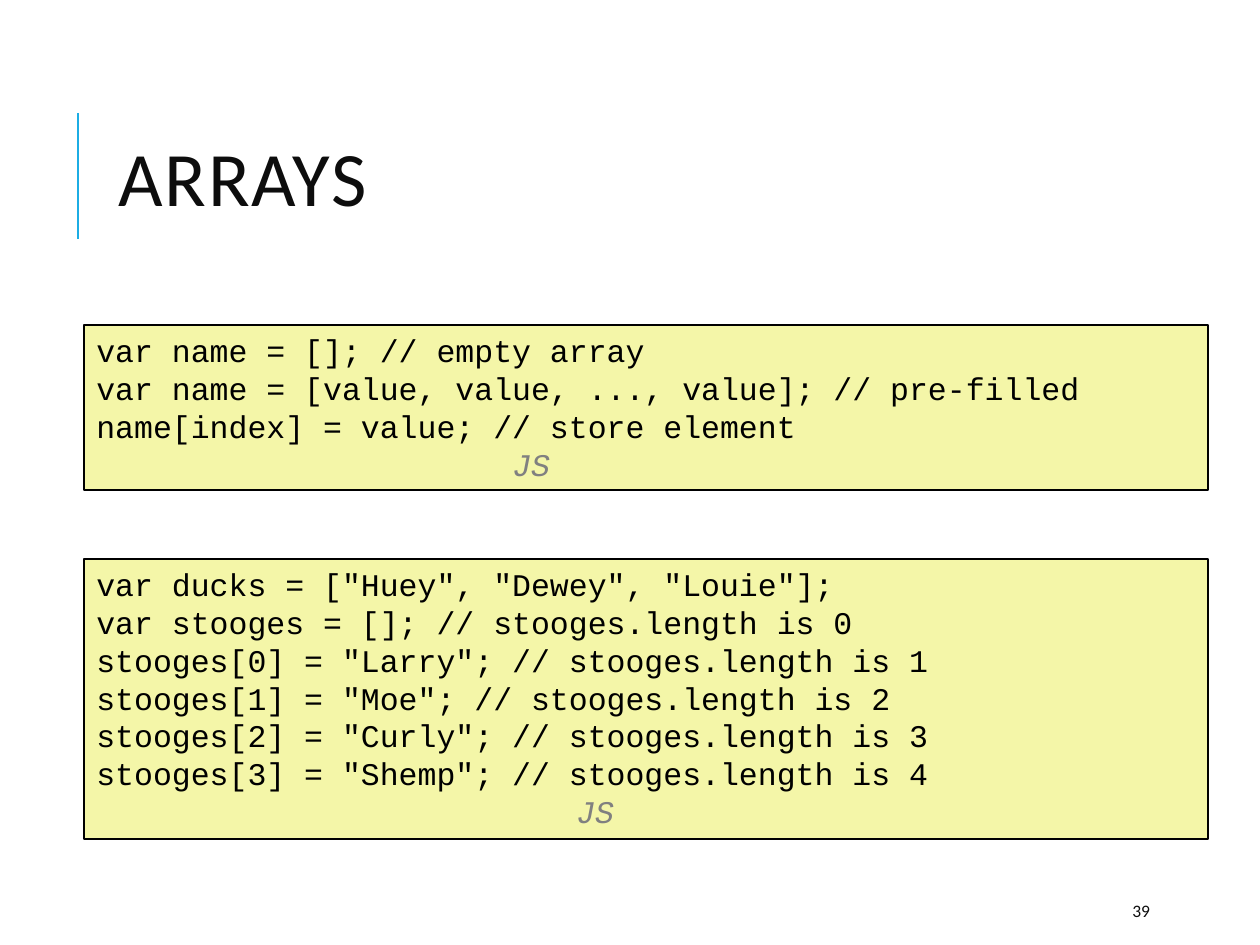
from pptx import Presentation
from pptx.dml.color import RGBColor
from pptx.enum.shapes import MSO_CONNECTOR, MSO_SHAPE
from pptx.enum.text import MSO_ANCHOR, PP_ALIGN
from pptx.oxml.ns import qn
from pptx.util import Emu, Pt
from lxml.etree import SubElement

TITLE = "ARRAYS"
PAGE_NUMBER = "39"
LANGUAGE = "JS"
CODE_BOXES = [
    {
        "top": 325, "height": 165, "label_indent": 416,
        "lines": [
            "var name = []; // empty array",
            "var name = [value, value, ..., value]; // pre-filled",
            "name[index] = value; // store element",
        ],
    },
    {
        "top": 559, "height": 280, "label_indent": 480,
        "lines": [
            'var ducks = ["Huey", "Dewey", "Louie"];',
            "var stooges = []; // stooges.length is 0",
            'stooges[0] = "Larry"; // stooges.length is 1',
            'stooges[1] = "Moe"; // stooges.length is 2',
            'stooges[2] = "Curly"; // stooges.length is 3',
            'stooges[3] = "Shemp"; // stooges.length is 4',
        ],
    },
]
BOX_LEFT, BOX_WIDTH = 84, 1124

INK = RGBColor(0x0D, 0x0D, 0x0D)
BLACK = RGBColor(0x00, 0x00, 0x00)
GRAY = RGBColor(0x80, 0x80, 0x80)
YELLOW = RGBColor(0xF4, 0xF6, 0xA8)
BLUE = RGBColor(0x1C, 0xAD, 0xE4)


def px(length):
    return Emu(round(length * 914400 / 126))


def style(paragraph, name, size, color):
    paragraph.alignment = PP_ALIGN.LEFT
    font = paragraph.font
    font.name, font.size = name, Pt(size)
    font.color.rgb = color


def add_title(slide):
    title = slide.shapes.title
    title.left, title.top, title.width, title.height = map(px, (106, 81, 1004, 207))
    title.text_frame.text = TITLE
    title.text_frame.vertical_anchor = MSO_ANCHOR.MIDDLE
    paragraph = title.text_frame.paragraphs[0]
    paragraph.line_spacing = 0.8
    style(paragraph, "Calibri", 44, INK)
    paragraph.runs[0].font._element.set("spc", "100")


def add_accent(slide):
    line = slide.shapes.add_connector(
        MSO_CONNECTOR.STRAIGHT, px(78), px(239), px(78), px(113))
    line.line.color.rgb = BLUE
    line.line.width = Pt(1.5)
    SubElement(line._element.spPr, qn("a:effectLst"))


def add_page_number(slide):
    box = slide.shapes.add_textbox(px(1120), px(892), px(101), px(38))
    frame = box.text_frame
    frame.word_wrap = True
    frame.vertical_anchor = MSO_ANCHOR.MIDDLE
    frame.text = PAGE_NUMBER
    style(frame.paragraphs[0], "Calibri", 10, INK)


def add_code_box(slide, box):
    shape = slide.shapes.add_shape(
        MSO_SHAPE.RECTANGLE, px(BOX_LEFT), px(box["top"]),
        px(BOX_WIDTH), px(box["height"]))
    shape.shadow.inherit = False
    shape.fill.solid()
    shape.fill.fore_color.rgb = YELLOW
    shape.line.color.rgb = BLACK
    shape.line.width = Pt(1.5)
    frame = shape.text_frame
    frame.vertical_anchor = MSO_ANCHOR.TOP
    frame.text = "\n".join(box["lines"] + [LANGUAGE])
    *code, label = frame.paragraphs
    for paragraph in code:
        style(paragraph, "Courier New", 18, BLACK)
    style(label, "Courier New", 18, GRAY)
    label.font.italic = True
    label._p.get_or_add_pPr().set("marL", str(px(box["label_indent"])))


def main():
    presentation = Presentation()
    presentation.slide_width, presentation.slide_height = px(1260), px(945)
    slide = presentation.slides.add_slide(presentation.slide_layouts[5])
    add_accent(slide)
    add_title(slide)
    add_page_number(slide)
    for box in CODE_BOXES:
        add_code_box(slide, box)
    presentation.save("out.pptx")


if __name__ == "__main__":
    main()
